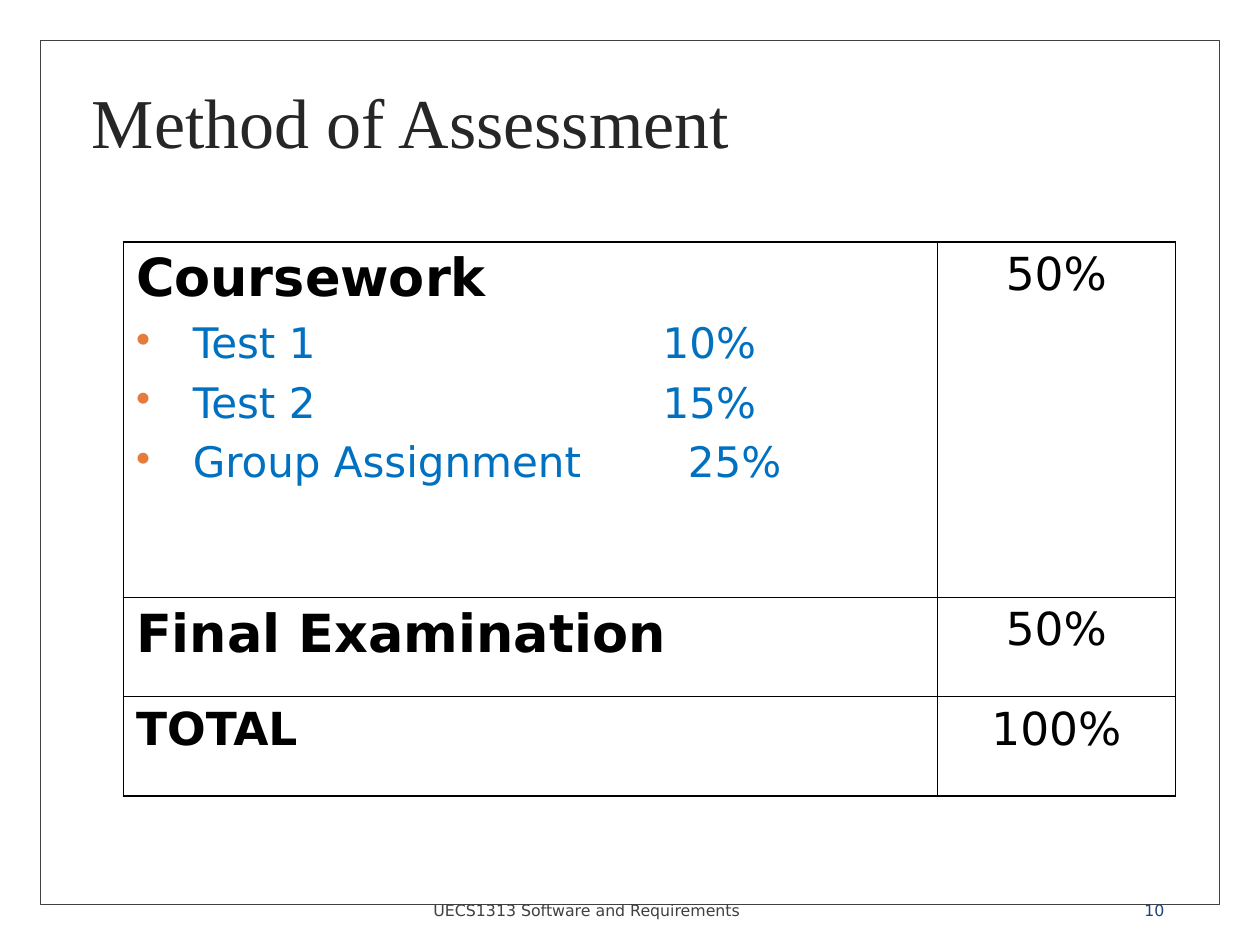
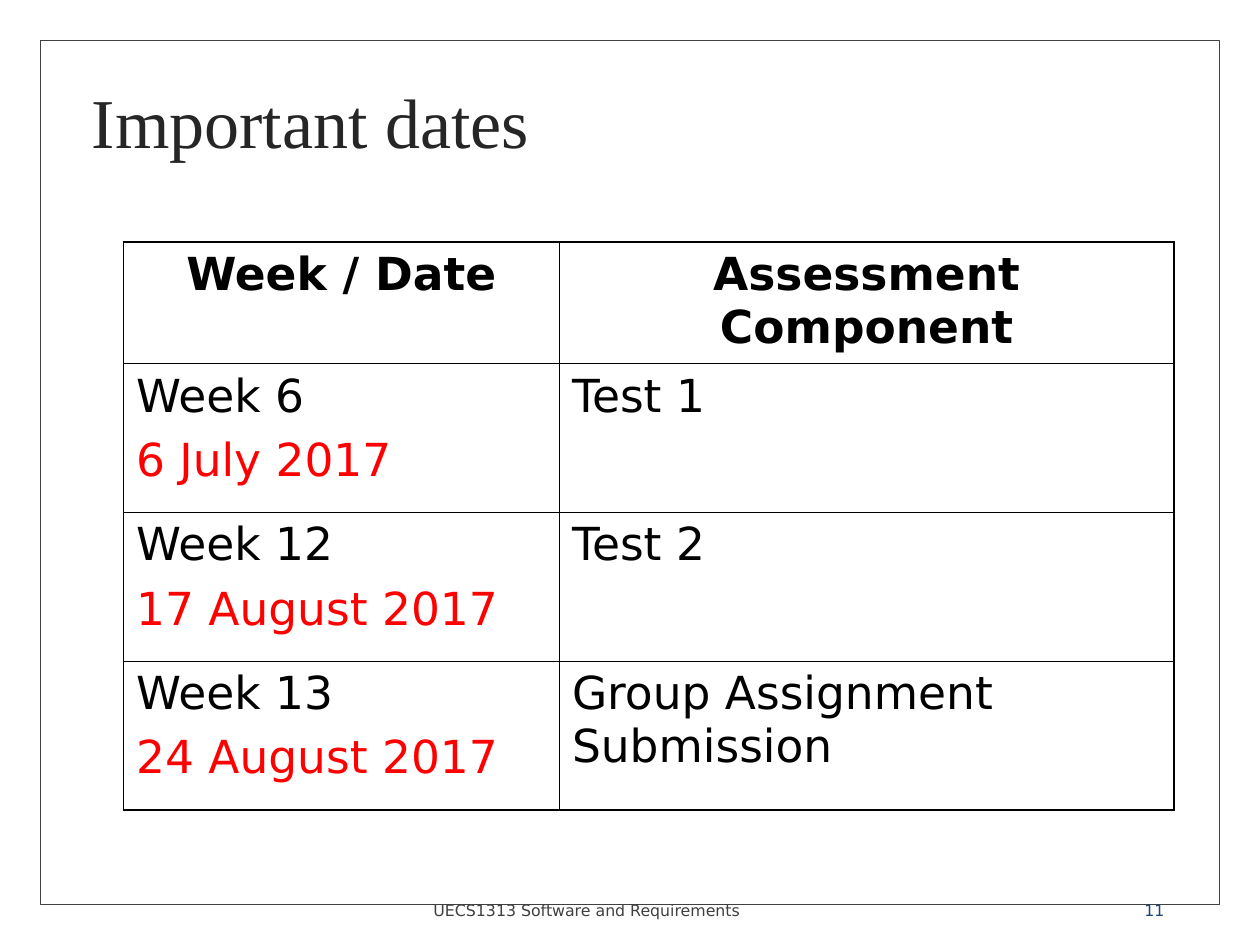
"""Builds two course slides: assessment weights and key dates."""
from lxml import etree
from pptx import Presentation
from pptx import util as u
from pptx.dml import color
from pptx.enum import shapes, text
from pptx.oxml import ns

BLACK, INK, GREY, NAVY = "000000", "262626", "404040", "1D4577"
BLUE, RED, ORANGE = "0070C0", "FF0000", "E37C3D"
SANS, SERIF = "DejaVu Sans", "Times New Roman"
LEFT, MID, RIGHT = text.PP_ALIGN.LEFT, text.PP_ALIGN.CENTER, text.PP_ALIGN.RIGHT
THICK, THIN = 1.08, 0.45
FOOT = "UECS1313 Software and Requirements"


def rgb(code):
    """Turn a hex string into a colour."""
    return color.RGBColor.from_string(code)


def put(item, vals):
    """Set each named value on an object."""
    for name, val in vals.items():
        setattr(item, name, val)


def box(left, top, width, height):
    """Give a place and size in inches."""
    names = ("left", "top", "width", "height")
    return dict(zip(names, map(u.Inches, (left, top, width, height))))


def node(top, tag, **vals):
    """Add an XML child with attributes."""
    return etree.SubElement(top, ns.qn(tag), {k: str(v) for k, v in vals.items()})


def write(para, words, size, hue=BLACK, font=SANS, bold=False, align=LEFT):
    """Fill one paragraph with styled text."""
    run = para.add_run()
    run.text = words
    put(run.font, {"size": u.Pt(size), "name": font, "bold": bold})
    run.font.color.rgb = rgb(hue)
    para.alignment = align


def bullet(para, stop):
    """Give a paragraph a bullet, a hanging indent and a tab stop."""
    props = para._p.get_or_add_pPr()
    hang = u.Inches(0.45)
    props.set("marL", str(hang))
    props.set("indent", str(-hang))
    node(node(props, "a:buClr"), "a:srgbClr", val=ORANGE)
    node(props, "a:buChar", char="•")
    node(node(props, "a:tabLst"), "a:tab", pos=u.Inches(stop), algn="l")


def edge(cell, side, width):
    """Draw one border of a cell."""
    line = node(cell._tc.get_or_add_tcPr(), "a:ln" + side, w=u.Pt(width))
    node(node(line, "a:solidFill"), "a:srgbClr", val=BLACK)


def fill(cell, lines):
    """Write the lines of a cell, each a dict of format values."""
    frame = cell.text_frame
    for i, line in enumerate(lines):
        vals = {"size": 26, **line}
        para = frame.add_paragraph() if i else frame.paragraphs[0]
        stop = vals.pop("stop", None)
        if stop:
            bullet(para, stop)
        if i:
            para.space_before = u.Pt(vals["size"] / 4)
        write(para, **vals)


def grid(slide, cols, rows, cells):
    """Add a ruled table with a heavier outer border."""
    place = box(0.98, 1.92, sum(cols), sum(rows))
    table = slide.shapes.add_table(len(rows), len(cols), **place).table
    put(table, {"first_row": False, "horz_banding": False})
    for col, width in zip(table.columns, cols):
        col.width = u.Inches(width)
    for r, height in enumerate(rows):
        table.rows[r].height = u.Inches(height)
        for c, lines in enumerate(cells[r]):
            cell = table.cell(r, c)
            outer = {"L": c == 0, "R": c == len(cols) - 1,
                     "T": r == 0, "B": r == len(rows) - 1}
            for side, heavy in outer.items():
                edge(cell, side, THICK if heavy else THIN)
            cell.fill.background()
            fill(cell, lines)


def note(slide, words, place, hue, align):
    """Add a small footer text."""
    frame = slide.shapes.add_textbox(**place).text_frame
    put(frame, {"word_wrap": True, "vertical_anchor": text.MSO_ANCHOR.BOTTOM})
    write(frame.paragraphs[0], words, 9, hue, align=align)


def page(deck, title, number):
    """Add a slide with its frame, title and footer."""
    slide = deck.slides.add_slide(deck.slide_layouts[5])
    rim = slide.shapes.add_shape(shapes.MSO_SHAPE.RECTANGLE,
                                 **box(0.32, 0.32, 9.36, 6.86))
    rim.shadow.inherit = False
    rim.fill.background()
    rim.line.color.rgb = rgb(GREY)
    rim.line.width = u.Pt(0.5)
    head = slide.shapes.title
    put(head, box(0.63, 0.33, 8.75, 1.33))
    put(head.text_frame, {"vertical_anchor": text.MSO_ANCHOR.MIDDLE,
                          "auto_size": text.MSO_AUTO_SIZE.NONE})
    para = head.text_frame.paragraphs[0]
    para.line_spacing = 0.9
    write(para, title, 40, INK, SERIF)
    note(slide, str(number), box(7.17, 6.83, 2.17, 0.52), NAVY, RIGHT)
    note(slide, FOOT, box(2.81, 6.95, 3.69, 0.4), GREY, MID)
    return slide


def label(words, size=26, align=LEFT):
    """Describe a bold line."""
    return {"words": words, "size": size, "bold": True, "align": align}


def task(name, share, stop=4.18):
    """Describe a bulleted line with its share."""
    return {"words": f"{name}\t{share}", "size": 24, "hue": BLUE, "stop": stop}


def share(words):
    """Describe a centred cell."""
    return [{"words": words, "align": MID}]


def week(name, date, part):
    """Describe a row of the dates table."""
    return [[{"words": name}, {"words": date, "hue": RED}], [{"words": part}]]


def main():
    """Build and save the deck."""
    deck = Presentation()
    put(deck, {"slide_width": u.Inches(10), "slide_height": u.Inches(7.5)})
    slide = page(deck, "Method of Assessment", 10)
    work = [label("Coursework", 30), task("Test 1", "10%"),
            task("Test 2", "15%"), task("Group Assignment", "25%", 4.38)]
    grid(slide, [6.46, 1.89], [2.82, 0.79, 0.79], [
        [work, share("50%")],
        [[label("Final Examination", 30)], share("50%")],
        [[label("TOTAL")], share("100%")]])
    slide = page(deck, "Important dates", 11)
    heads = ("Week / Date", "Assessment Component")
    grid(slide, [3.46, 4.88], [0.6] + [1.18] * 3, [
        [[label(head, align=MID)] for head in heads],
        week("Week 6", "6 July 2017", "Test 1"),
        week("Week 12", "17 August 2017", "Test 2"),
        week("Week 13", "24 August 2017", "Group Assignment Submission")])
    deck.save("out.pptx")


if __name__ == "__main__":
    main()
